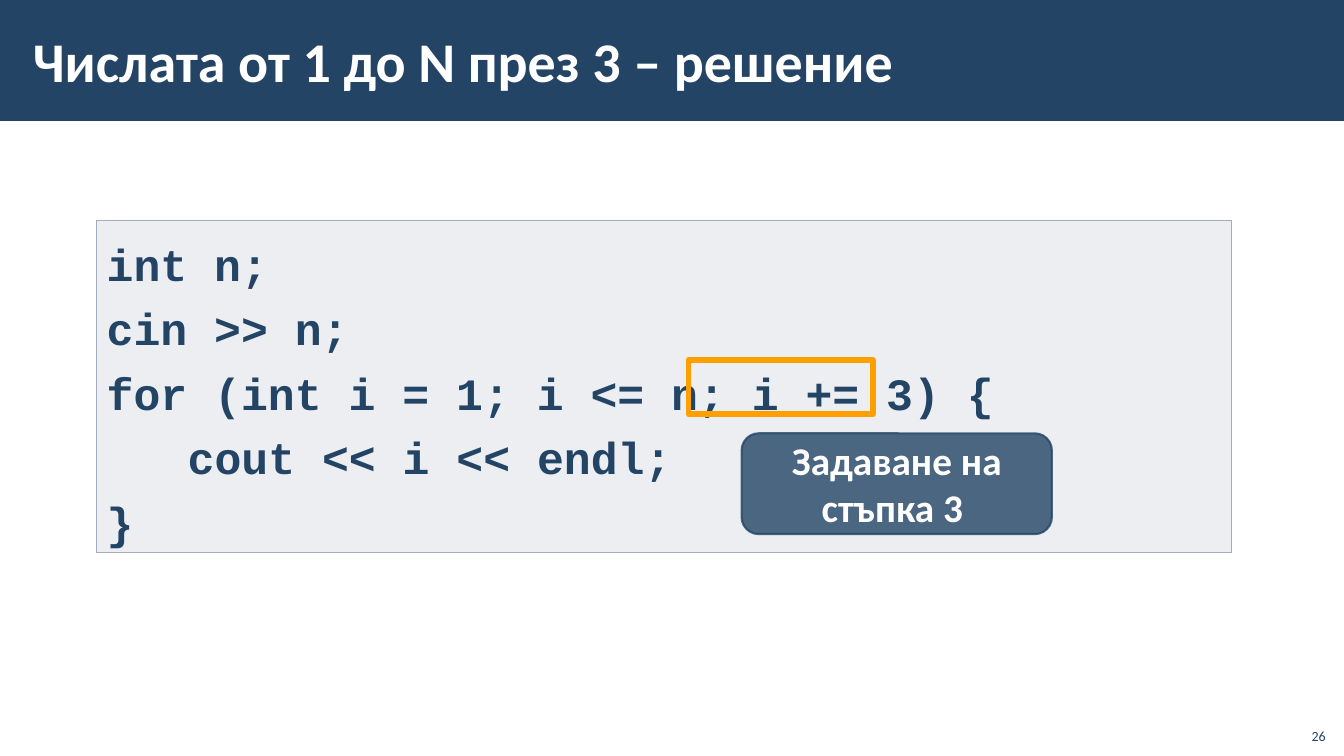
from pptx import Presentation
from pptx.dml.color import RGBColor
from pptx.enum.shapes import MSO_SHAPE as Shape
from pptx.enum.text import MSO_ANCHOR as Anchor, PP_ALIGN as Align
from pptx.oxml.xmlchemy import OxmlElement as Element
from pptx.util import Cm, Pt

NAVY = RGBColor(0x23, 0x44, 0x65)
GREY = RGBColor(0xA3, 0xAB, 0xBC)
ORANGE = RGBColor(0xFF, 0xA0, 0x00)
WHITE = RGBColor(0xFF, 0xFF, 0xFF)

CODE_LINES = [
    # (indent in characters, text)
    (0, "int n;"),
    (0, "cin >> n;"),
    (0, "for (int i = 1; i <= n; i += 3) {"),
    (3, "cout << i << endl;"),
    (0, "}"),
]
CODE_CHAR = Cm(0.68)


def apply_format(target, values):
    for name, value in values.items():
        setattr(target, name, value)


def set_opacity(color_format, percent):
    alpha = Element("a:alpha")
    alpha.set("val", str(percent * 1000))
    color_format._color._xClr.append(alpha)


def add_panel(slide, box, kind=Shape.RECTANGLE, fill=None, opacity=100,
              line=None, line_width=1, line_opacity=100):
    panel = slide.shapes.add_shape(kind, *map(Cm, box))
    panel.shadow.inherit = False
    if fill is None:
        panel.fill.background()
    else:
        panel.fill.solid()
        panel.fill.fore_color.rgb = fill
        set_opacity(panel.fill.fore_color, opacity)
    if line is None:
        panel.line.fill.background()
    else:
        panel.line.color.rgb = line
        panel.line.width = Pt(line_width)
        set_opacity(panel.line.color, line_opacity)
    return panel


def add_label(slide, box):
    return slide.shapes.add_textbox(*map(Cm, box))


def write_line(paragraph, text, size, color, font="Calibri", bold=True, **layout):
    run = paragraph.add_run()
    run.text = text
    apply_format(run.font, {"name": font, "size": Pt(size), "bold": bold})
    run.font.color.rgb = color
    apply_format(paragraph, layout)


def write_code(frame):
    apply_format(frame, {"word_wrap": True, "vertical_anchor": Anchor.TOP})
    for number, (indent, text) in enumerate(CODE_LINES):
        paragraph = frame.add_paragraph() if number else frame.paragraphs[0]
        write_line(paragraph, text, 32, NAVY, "Courier New", alignment=Align.LEFT,
                   line_spacing=1.2)
        if indent:
            paragraph._p.get_or_add_pPr().set("marL", str(indent * CODE_CHAR))


def main():
    deck = Presentation()
    apply_format(deck, {"slide_width": Cm(33.87), "slide_height": Cm(19.05)})
    slide = deck.slides.add_slide(deck.slide_layouts[6])

    # Title band
    add_panel(slide, (0, 0, 33.87, 3.05), fill=NAVY)

    # Code with the step highlighted
    code = add_panel(slide, (2.44, 5.56, 28.6, 8.36), fill=GREY, opacity=20, line=GREY)
    write_code(code.text_frame)
    add_panel(slide, (17.35, 9.07, 4.65, 1.37), line=ORANGE, line_width=4)

    # Title
    title = add_label(slide, (0.53, 0.28, 27, 2.46)).text_frame
    apply_format(title, {"word_wrap": True, "vertical_anchor": Anchor.MIDDLE,
                         "margin_left": Cm(0.3), "margin_right": Cm(0.3),
                         "margin_top": Cm(0.1), "margin_bottom": Cm(0.1)})
    write_line(title.paragraphs[0], "Числата от 1 до N през 3 – решение", 40, WHITE)

    # Explanation of the step
    step = add_panel(slide, (18.69, 10.92, 7.82, 2.54), Shape.ROUNDED_RECTANGLE,
                     fill=NAVY, opacity=80, line=NAVY, line_width=1.5, line_opacity=80)
    step.adjustments[0] = 0.17
    apply_format(step.text_frame, {"word_wrap": True, "vertical_anchor": Anchor.MIDDLE})
    write_line(step.text_frame.paragraphs[0], "Задаване на стъпка 3 ", 28, WHITE,
               alignment=Align.CENTER)

    # Page number
    page = add_label(slide, (32.64, 18.08, 1.02, 0.81)).text_frame
    apply_format(page, {"word_wrap": True, "vertical_anchor": Anchor.BOTTOM})
    write_line(page.paragraphs[0], "26", 10, NAVY, bold=False, alignment=Align.RIGHT)

    deck.save("out.pptx")


if __name__ == "__main__":
    main()
